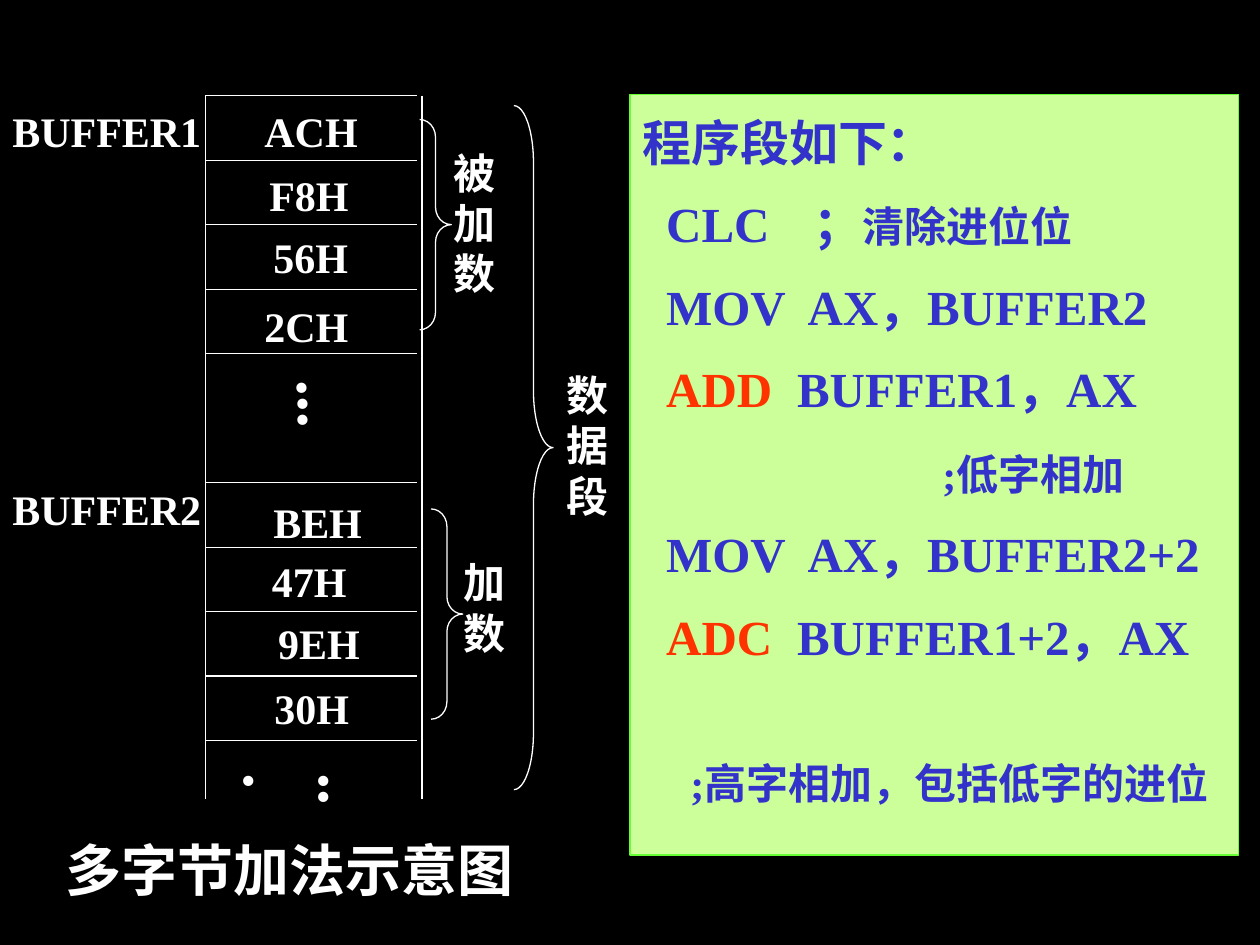
from typing import NamedTuple

from lxml.etree import SubElement
from pptx import Presentation
from pptx.dml.color import RGBColor
from pptx.enum.shapes import MSO_CONNECTOR, MSO_SHAPE
from pptx.enum.text import MSO_ANCHOR, PP_ALIGN
from pptx.oxml.ns import qn
from pptx.util import Cm, Pt

WHITE = RGBColor(0xFF, 0xFF, 0xFF)
BLACK = RGBColor(0, 0, 0)
BLUE = RGBColor(0x33, 0x33, 0xCC)
RED = RGBColor(0xFF, 0x33, 0x00)
PALE = RGBColor(0xCC, 0xFF, 0x99)
GREEN = RGBColor(0x66, 0xFF, 0x33)
FONT = "Times New Roman"

# Memory column, in cm
LEFT, RIGHT, EDGE = 4.14, 8.41, 8.51
TOP, BASE, STEP = 1.93, 16.1, 1.3
ROWS = (0, 1, 2, 3, 4, 6, 7, 8, 9, 10)


class Label(NamedTuple):
    text: str
    x: float
    y: float
    w: float = 2.75
    h: float = 1.27
    size: int = 24
    turn: float = 0
    vert: str = ""


class Brace(NamedTuple):
    x: float
    y: float
    w: float
    h: float


class Piece(NamedTuple):
    text: str
    size: int = 28
    color: RGBColor = BLUE


class Line(NamedTuple):
    pieces: tuple[Piece, ...]
    start: float = 0.48
    hang: float = 0.48
    before: float = 7


LABELS = (
    Label("BUFFER1", 0, 2.01, 4.65),
    Label("BUFFER2", 0, 9.63, 4.65),
    Label("ACH", 5.08, 2.01),
    Label("F8H", 5.18, 3.3),
    Label("56H", 5.26, 4.55),
    Label("2CH", 5.08, 5.94),
    Label("BEH", 5.26, 9.88),
    Label("47H", 5.23, 11.07),
    Label("9EH", 5.36, 12.32),
    Label("30H", 5.28, 13.64),
    Label("被加数", 8.89, 2.84, 1.47, 3.3),
    Label("加数", 9.09, 11.1, 1.47, 2.29),
    Label("数据段", 11.18, 7.32, 1.47, 3.3),
    Label("多字节加法示意图", 1.07, 16.71, 11.86, 1.63, 32),
    Label(" ...", 5.54, 7.19, 1.96, 1.78, 36, turn=88.5),
    Label("...", 5.82, 15.34, 2.03, 1.4, 36, vert="eaVert"),
)

BRACES = (
    Brace(8.46, 2.41, 0.64, 4.24),
    Brace(8.69, 10.26, 0.64, 4.24),
    Brace(10.36, 2.13, 0.79, 13.79),
)

CODE = (
    Line((Piece("程序段如下："),), 0, 0, 0),
    Line((Piece("CLC\t；"), Piece("清除进位位", 24)), hang=3.45, before=6),
    Line((Piece("MOV\tAX，BUFFER2"),), hang=3.33),
    Line((Piece("ADD", color=RED), Piece("\tBUFFER1，AX")), hang=3.12),
    Line((Piece(";低字相加", 24),), 6.05, 6.05, 12),
    Line((Piece("MOV\tAX，BUFFER2+2"),), hang=3.33),
    Line((Piece("ADC", color=RED), Piece("\tBUFFER1+2，AX")), hang=3.12),
    Line((Piece(";高字相加，包括低字的进位", 24),), 0.97, 0.97, 47),
)


def style(run, size: int, color: RGBColor) -> None:
    font = run.font
    font.name, font.size, font.bold = FONT, Pt(size), True
    font.color.rgb = color


def draw_rule(shapes, x1: float, y1: float, x2: float, y2: float, width: float) -> None:
    rule = shapes.add_connector(MSO_CONNECTOR.STRAIGHT, Cm(x1), Cm(y1), Cm(x2), Cm(y2))
    rule.line.color.rgb = WHITE
    rule.line.width = Pt(width)
    SubElement(rule._element.spPr, qn("a:effectLst"))


def draw_label(shapes, label: Label) -> None:
    box = shapes.add_textbox(Cm(label.x), Cm(label.y), Cm(label.w), Cm(label.h))
    box.rotation = label.turn
    frame = box.text_frame
    frame.word_wrap = True
    if label.vert:
        frame._txBody.bodyPr.set("vert", label.vert)
        frame.margin_left = frame.margin_right = Cm(0.13)
        frame.margin_top = frame.margin_bottom = Cm(0.25)
    frame.text = label.text
    style(frame.paragraphs[0].runs[0], label.size, WHITE)


def draw_brace(shapes, brace: Brace) -> None:
    shape = shapes.add_shape(MSO_SHAPE.RIGHT_BRACE, *map(Cm, brace))
    shape.shadow.inherit = False
    shape.fill.background()
    shape.line.color.rgb = WHITE
    shape.line.width = Pt(0.75)
    shape.adjustments[0] = brace.h / brace.w / 12


def write_line(para, line: Line) -> None:
    """Fill a paragraph; a tab jumps to its hanging indent."""
    props = para._p.get_or_add_pPr()
    props.set("marL", str(Cm(line.hang)))
    props.set("indent", str(Cm(line.start) - Cm(line.hang)))
    para.alignment = PP_ALIGN.LEFT
    para.line_spacing = 1.2
    para.space_before = Pt(line.before)
    for piece in line.pieces:
        run = para.add_run()
        run.text = piece.text
        style(run, piece.size, piece.color)


def draw_panel(shapes) -> None:
    panel = shapes.add_shape(MSO_SHAPE.RECTANGLE, Cm(12.7), Cm(1.9), Cm(12.27), Cm(15.34))
    panel.shadow.inherit = False
    panel.fill.solid()
    panel.fill.fore_color.rgb = PALE
    panel.line.color.rgb = GREEN
    panel.line.width = Pt(0.75)
    frame = panel.text_frame
    frame.word_wrap = True
    frame.vertical_anchor = MSO_ANCHOR.TOP
    frame.margin_right = 0
    for i, line in enumerate(CODE):
        write_line(frame.add_paragraph() if i else frame.paragraphs[0], line)


def main() -> None:
    deck = Presentation()
    deck.slide_width, deck.slide_height = Cm(25.4), Cm(19.05)
    slide = deck.slides.add_slide(deck.slide_layouts[6])
    slide.background.fill.solid()
    slide.background.fill.fore_color.rgb = BLACK
    shapes = slide.shapes
    for row in ROWS:
        y = TOP + row * STEP
        draw_rule(shapes, LEFT, y, RIGHT, y, 0.75)
    for x in (LEFT, EDGE):
        draw_rule(shapes, x, TOP, x, BASE, 1)
    for brace in BRACES:
        draw_brace(shapes, brace)
    for label in LABELS:
        draw_label(shapes, label)
    draw_panel(shapes)
    deck.save("out.pptx")


if __name__ == "__main__":
    main()
